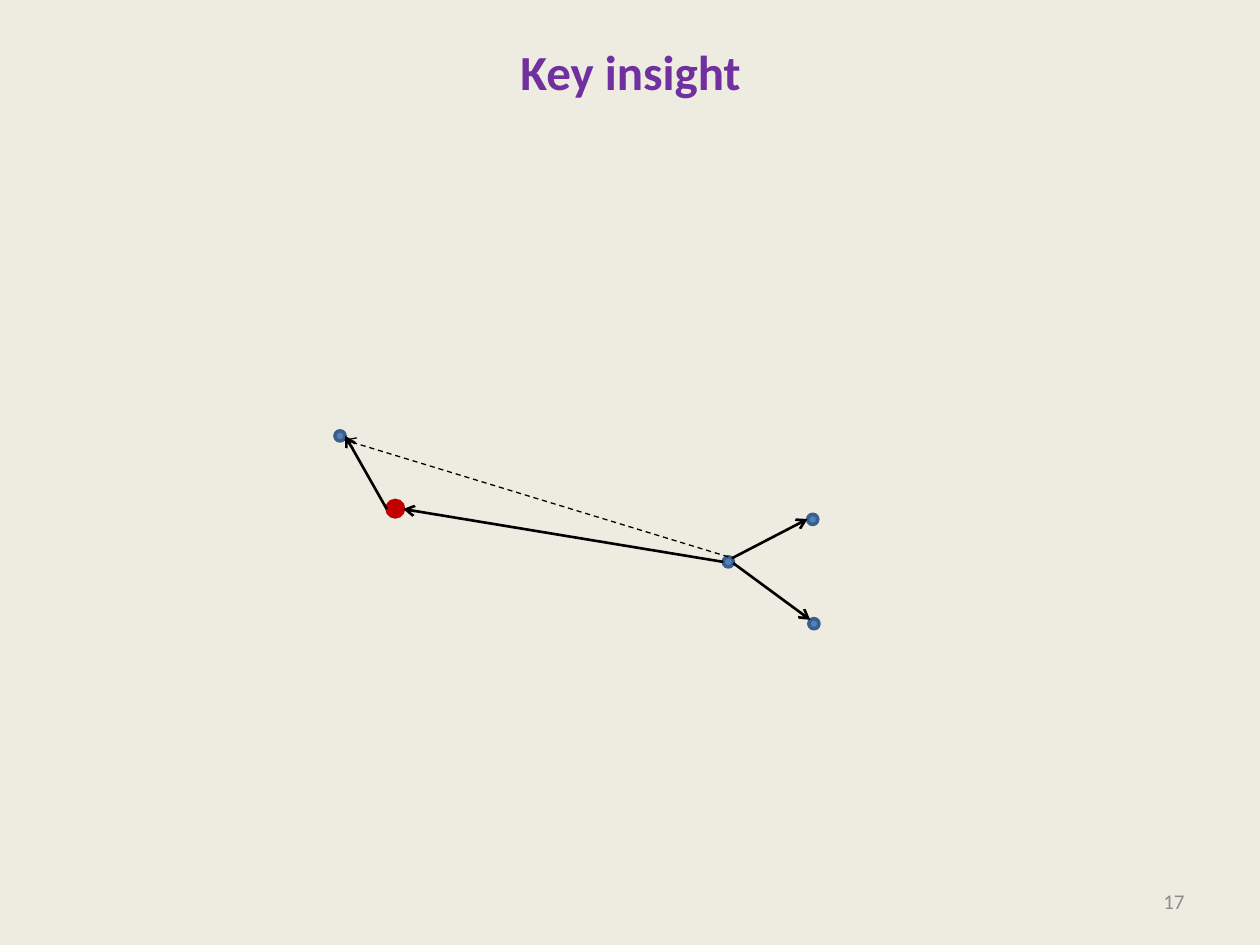
from lxml import etree
from pptx import Presentation
from pptx.dml.color import RGBColor
from pptx.enum import dml, shapes, text
from pptx.oxml.ns import qn
from pptx.util import Pt

BACKGROUND = RGBColor(0xEE, 0xEC, 0xE1)
PURPLE = RGBColor(0x70, 0x30, 0xA0)
GRAY = RGBColor(0x8C, 0x8C, 0x8C)
BLUE = RGBColor(0x4F, 0x81, 0xBD)
DARK_BLUE = RGBColor(0x3A, 0x5F, 0x8C)
RED = RGBColor(0xC0, 0x00, 0x00)
BLACK = RGBColor(0x00, 0x00, 0x00)


def write(sp, content, size, color, align, bold=False, wrap=True):
    tf = sp.text_frame
    tf.word_wrap = wrap
    tf.vertical_anchor = text.MSO_ANCHOR.MIDDLE
    p = tf.paragraphs[0]
    p.alignment = align
    r = p.add_run()
    r.text = content
    r.font.name = "Calibri"
    r.font.size = Pt(size)
    r.font.bold = bold
    r.font.color.rgb = color


prs = Presentation()
prs.slide_width, prs.slide_height = Pt(720), Pt(540)
s = prs.slides.add_slide(prs.slide_layouts[5])
s.background.fill.solid()
s.background.fill.fore_color.rgb = BACKGROUND

title = s.shapes.title
title.left, title.top, title.width, title.height = Pt(289.4), Pt(20.2), Pt(141.8), Pt(41)
title.fill.solid()
title.fill.fore_color.rgb = BACKGROUND
write(title, "Key insight", 28, PURPLE, text.PP_ALIGN.CENTER, bold=True, wrap=False)

number = s.shapes.add_textbox(Pt(516.2), Pt(500.4), Pt(167.8), Pt(28.8))
write(number, "17", 12, GRAY, text.PP_ALIGN.RIGHT)

nodes = [
    (416.2, 321.1, 5.8, BLUE, DARK_BLUE),
    (464.4, 296.8, 5.8, BLUE, DARK_BLUE),
    (225.9, 290.7, 9.4, RED, RED),
    (194.3, 249.1, 5.8, BLUE, DARK_BLUE),
    (465.1, 356.4, 5.8, BLUE, DARK_BLUE),
]
for x, y, d, fill, line in nodes:
    sp = s.shapes.add_shape(shapes.MSO_SHAPE.OVAL, Pt(x - d / 2), Pt(y - d / 2), Pt(d), Pt(d))
    sp.shadow.inherit = False
    sp.fill.solid()
    sp.fill.fore_color.rgb = fill
    sp.line.color.rgb = line
    sp.line.width = Pt(2)

arrows = [
    (418.3, 319, 461.5, 296.6, False),
    (416.2, 318.2, 196.6, 251.3, True),
    (413.3, 321.1, 230.4, 290.9, False),
    (221, 290.9, 197.3, 249.1, False),
    (419, 321.8, 463, 354.2, False),
]
for x1, y1, x2, y2, dashed in arrows:
    c = s.shapes.add_connector(shapes.MSO_CONNECTOR.STRAIGHT, Pt(x1), Pt(y1), Pt(x2), Pt(y2))
    c.line.color.rgb = BLACK
    c.line.width = Pt(0.75 if dashed else 1.5)
    if dashed:
        c.line.dash_style = dml.MSO_LINE.DASH
    spPr = c._element.spPr
    etree.SubElement(spPr.find(qn("a:ln")), qn("a:tailEnd"), type="arrow")
    etree.SubElement(spPr, qn("a:effectLst"))

prs.save("out.pptx")
